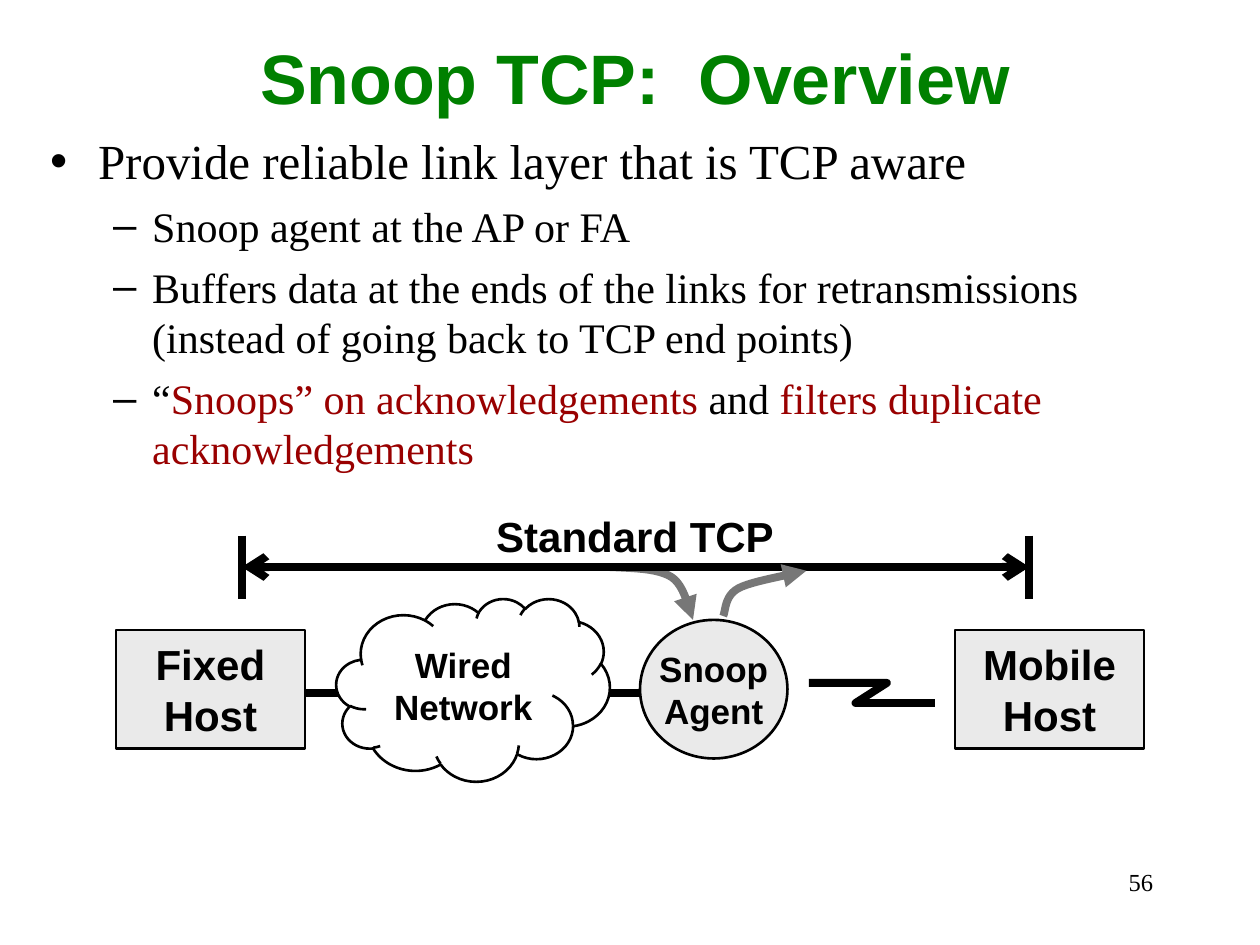
import pptx
import pptx.util
import pptx.dml.color
import pptx.enum.shapes
import pptx.enum.text
import pptx.oxml
import pptx.oxml.ns
from pptx.util import Inches

COLORS = {"black": "000000", "green": "008000", "red": "990000",
          "node": "EAEAEA", "white": "FFFFFF", "gray": "777777"}
RGB = {name: pptx.dml.color.RGBColor.from_string(value) for name, value in COLORS.items()}
SHAPE = pptx.enum.shapes.MSO_SHAPE
ALIGN = pptx.enum.text.PP_ALIGN
ANCHOR = pptx.enum.text.MSO_ANCHOR


def write_label(shape, lines, size, color="black", font="Arial", bold=True,
                align=ALIGN.CENTER, anchor=ANCHOR.MIDDLE, wrap=True):
    frame = shape.text_frame
    frame.word_wrap = wrap
    frame.vertical_anchor = anchor
    paragraph = frame.paragraphs[0]
    paragraph.alignment = align
    for index, line in enumerate(lines):
        if index:
            paragraph.add_line_break()
        run = paragraph.add_run()
        run.text = line
        run.font.name = font
        run.font.size = pptx.util.Pt(size)
        run.font.bold = bold
        run.font.color.rgb = RGB[color]


def draw_path(points, color, arrow=False):
    corners = [(Inches(x), Inches(y)) for x, y in points]
    builder = slide.shapes.build_freeform(*corners[0])
    builder.add_line_segments(corners[1:], close=False)
    shape = builder.convert_to_shape()
    shape.shadow.inherit = False
    shape.fill.background()
    shape.line.color.rgb = RGB[color]
    shape.line.width = pptx.util.Pt(4.5)
    if arrow:
        end = pptx.oxml.parse_xml(
            f'<a:tailEnd {pptx.oxml.ns.nsdecls("a")} type="triangle"/>')
        shape.line._get_or_add_ln().append(end)


presentation = pptx.Presentation()
presentation.slide_width = Inches(10)
presentation.slide_height = Inches(7.5)
slide = presentation.slides.add_slide(presentation.slide_layouts[6])

# Slide number and title
number = slide.shapes.add_textbox(Inches(7.17), Inches(6.83), Inches(2.08), Inches(0.5))
write_label(number, ["56"], 14, font="Times New Roman", bold=False,
            align=ALIGN.RIGHT, anchor=ANCHOR.TOP)
title = slide.shapes.add_textbox(Inches(0.79), Inches(0.27), Inches(8.5), Inches(0.68))
write_label(title, ["Snoop TCP:  Overview"], 40, color="green")

# Bullets: level, then runs of text and colour
bullets = [
    (0, [("Provide reliable link layer that is TCP aware", "black")]),
    (1, [("Snoop agent at the AP or FA", "black")]),
    (1, [("Buffers data at the ends of the links for retransmissions "
          "(instead of going back to TCP end points)", "black")]),
    (1, [("“", "black"), ("Snoops” on acknowledgements", "red"),
         (" and ", "black"), ("filters duplicate acknowledgements", "red")]),
]
levels = [("•", 0.38, 0.38, 28), ("–", 0.81, 0.31, 24)]
body = slide.shapes.add_textbox(Inches(0.3), Inches(0.99), Inches(9.44), Inches(2.87))
body.text_frame.word_wrap = True
for index, (level, runs) in enumerate(bullets):
    character, margin, hanging, size = levels[level]
    paragraph = body.text_frame.paragraphs[0] if index == 0 else body.text_frame.add_paragraph()
    paragraph.level = level
    if index:
        paragraph.space_before = pptx.util.Pt(6)
    properties = paragraph._p.get_or_add_pPr()
    properties.set("marL", str(Inches(margin)))
    properties.set("indent", str(-Inches(hanging)))
    namespace = pptx.oxml.ns.nsdecls("a")
    for xml in (f'<a:buClr {namespace}><a:srgbClr val="{COLORS["black"]}"/></a:buClr>',
                f'<a:buFont {namespace} typeface="Arial"/>',
                f'<a:buChar {namespace} char="{character}"/>'):
        properties.append(pptx.oxml.parse_xml(xml))
    for text, color in runs:
        run = paragraph.add_run()
        run.text = text
        run.font.name = "Times New Roman"
        run.font.size = pptx.util.Pt(size)
        run.font.color.rgb = RGB[color]

# Network link, end marks and the double arrow between them
left_end, right_end = 1.92, 8.17
connectors = [
    ((1.67, 5.5), (6, 5.5), False),
    ((left_end, 4.25), (left_end, 4.75), False),
    ((right_end, 4.25), (right_end, 4.75), False),
    ((right_end, 4.5), (left_end, 4.5), True),
]
connector_shapes = []
for start, end, arrows in connectors:
    connector = slide.shapes.add_connector(
        pptx.enum.shapes.MSO_CONNECTOR.STRAIGHT,
        *(Inches(value) for value in start + end))
    connector.line.color.rgb = RGB["black"]
    connector.line.width = pptx.util.Pt(4.5)
    if arrows:
        for tag in ("headEnd", "tailEnd"):
            connector.line._get_or_add_ln().append(pptx.oxml.parse_xml(
                f'<a:{tag} {pptx.oxml.ns.nsdecls("a")} type="arrow"/>'))
    connector._element.spPr.append(pptx.oxml.parse_xml(
        f'<a:effectLst {pptx.oxml.ns.nsdecls("a")}/>'))
    connector_shapes.append(connector)

# Nodes
nodes = [
    (SHAPE.CLOUD, 2.67, 4.75, 2.17, 1.45, "white", ["Wired", "Network"], 20, True),
    (SHAPE.RECTANGLE, 0.92, 5, 1.5, 0.94, "node", ["Fixed", "Host"], 24, False),
    (SHAPE.RECTANGLE, 7.58, 5, 1.5, 0.94, "node", ["Mobile", "Host"], 24, False),
    (SHAPE.OVAL, 5.08, 4.92, 1.17, 1.1, "node", ["Snoop", "Agent"], 20, False),
]
for kind, left, top, width, height, fill, lines, size, wrap in nodes:
    node = slide.shapes.add_shape(kind, Inches(left), Inches(top), Inches(width), Inches(height))
    node.shadow.inherit = False
    node.fill.solid()
    node.fill.fore_color.rgb = RGB[fill]
    node.line.color.rgb = RGB["black"]
    node.line.width = pptx.util.Pt(1.5)
    write_label(node, lines, size, wrap=wrap)

# Wireless link
draw_path([(6.42, 5.42), (7.04, 5.42), (6.79, 5.58), (7.42, 5.58)], "black")

# Connection label
label = slide.shapes.add_textbox(Inches(3), Inches(4), Inches(4.08), Inches(0.49))
write_label(label, ["Standard TCP"], 24, anchor=ANCHOR.TOP)

# Curved arrows into and out of the agent, each made of two cubic curves
curves = [
    [(4.83, 4.5), (5.03, 4.51), (5.22, 4.51), (5.33, 4.58),
     (5.44, 4.65), (5.47, 4.86), (5.5, 4.92)],
    [(5.74, 4.89), (5.76, 4.85), (5.75, 4.73), (5.86, 4.67),
     (5.97, 4.61), (6.29, 4.56), (6.4, 4.53)],
]
steps = 12
for controls in curves:
    points = [controls[0]]
    for first in (0, 3):
        for step in range(1, steps + 1):
            t = step / steps
            weights = ((1 - t) ** 3, 3 * t * (1 - t) ** 2, 3 * t ** 2 * (1 - t), t ** 3)
            points.append(tuple(
                sum(weight * point[axis]
                    for weight, point in zip(weights, controls[first:first + 4]))
                for axis in (0, 1)))
    draw_path(points, "gray", arrow=True)

# The double arrow lies over the incoming curve
slide.shapes[-2]._element.addnext(connector_shapes[-1]._element)

presentation.save("out.pptx")
